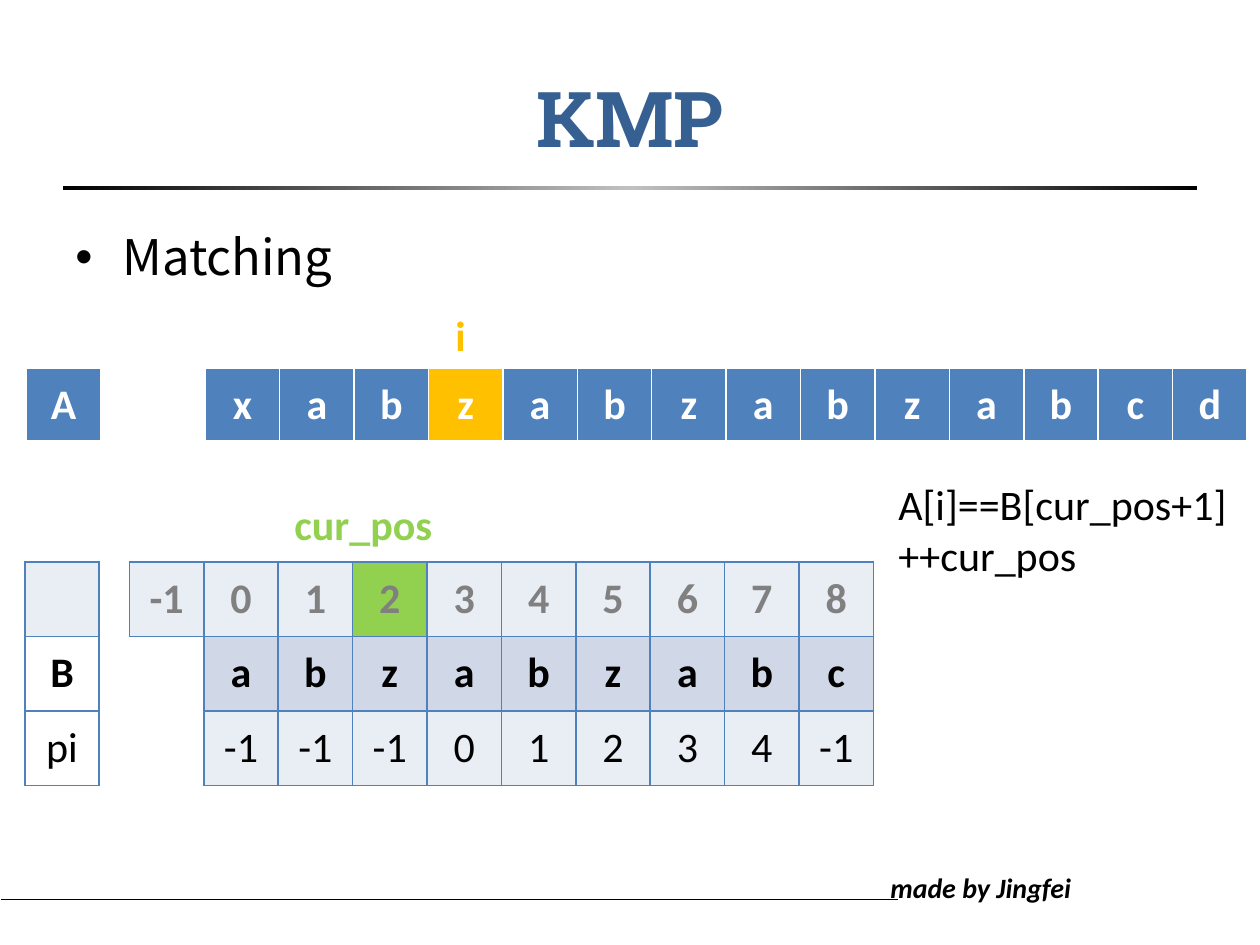
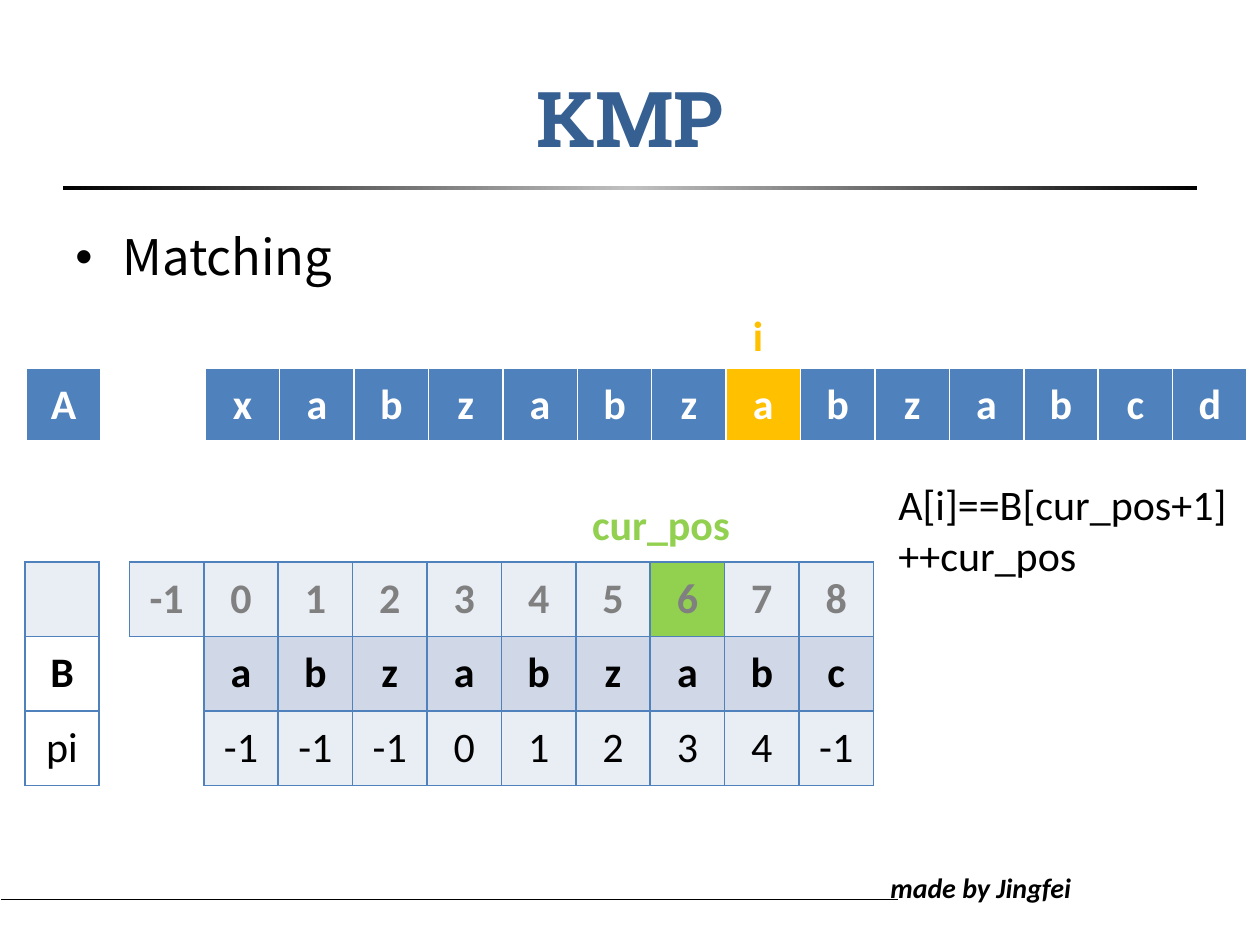
"""Build two slides that trace KMP matching of pattern B in text A."""
import dataclasses

import lxml.etree
import pptx
import pptx.dml.color
import pptx.enum.shapes
import pptx.enum.text
import pptx.oxml.ns
import pptx.util

Cm, Pt = pptx.util.Cm, pptx.util.Pt
ALIGN = pptx.enum.text.PP_ALIGN
MIDDLE = pptx.enum.text.MSO_ANCHOR.MIDDLE
qn = pptx.oxml.ns.qn


@dataclasses.dataclass(frozen=True)
class Style:
    size: int
    color: str
    bold: bool = False
    italic: bool = False
    font: str = "Calibri"


class Theme:
    black, silver, white = "000000", "C0C0C0", "FFFFFF"
    blue, pale, tint = "4F81BD", "E9EDF4", "D0D8E8"
    orange, green = "FFC000", "92D050"
    title = Style(44, "376092", bold=True, font="Roboto Slab")
    bullet = Style(28, black, font="Noto Sans CJK SC")
    credit = Style(16, black, bold=True, italic=True)
    code = Style(24, black)
    letter = Style(24, black, bold=True)
    header = Style(24, white, bold=True)
    index = Style(24, "808080", bold=True)
    text_pointer = Style(24, orange, bold=True)
    pattern_pointer = Style(24, green, bold=True)


TITLE = "KMP"
BULLET = "Matching"
CREDIT = "made by Jingfei"
CODE = ["A[i]==B[cur_pos+1]", "++cur_pos"]
STEPS = [{"i": 3, "cur_pos": 2}, {"i": 7, "cur_pos": 6}]

TEXT_ROWS = [
    {"cells": ["A", None, None, *"xabzabzabzabcd"], "style": Theme.header,
     "label_fill": Theme.blue, "fill": Theme.blue},
]
PATTERN_ROWS = [
    {"cells": ["", None, "-1", *"012345678"], "style": Theme.index,
     "label_fill": Theme.pale, "fill": Theme.pale},
    {"cells": ["B", None, None, *"abzabzabc"], "style": Theme.letter,
     "label_fill": None, "fill": Theme.tint},
    {"cells": ["pi", None, None, "-1", "-1", "-1", *"01234", "-1"], "style": Theme.code,
     "label_fill": None, "fill": Theme.pale},
]
TEXT_GRID = {"rows": TEXT_ROWS, "left": 0.53, "top": 7.42, "line": Theme.white,
             "bottom": 3, "mark": Theme.orange}
PATTERN_GRID = {"rows": PATTERN_ROWS, "left": 0.5, "top": 11.33, "line": Theme.blue,
                "bottom": 1, "mark": Theme.green}
POINTERS = [
    {"name": "i", "grid": TEXT_GRID, "top": 6.12, "width": 0.74, "shift": -0.08,
     "style": Theme.text_pointer},
    {"name": "cur_pos", "grid": PATTERN_GRID, "top": 9.93, "width": 3.63, "shift": -0.35,
     "style": Theme.pattern_pointer},
]
CELL, GAP = 1.5, 0.6
FIRST_COLUMN = 3
EDGES = {"L": (0, -1), "R": (0, 1), "T": (-1, 0), "B": (1, 0)}


def rgb(color):
    return pptx.dml.color.RGBColor.from_string(color)


def write(frame, lines, style, align=ALIGN.LEFT):
    for number, line in enumerate(lines):
        para = frame.paragraphs[0] if number == 0 else frame.add_paragraph()
        para.alignment = align
        span = para.add_run()
        span.text = line
        font = span.font
        font.name, font.size = style.font, Pt(style.size)
        font.bold, font.italic = style.bold, style.italic
        font.color.rgb = rgb(style.color)


def add_text(page, place, lines, style):
    box = page.shapes.add_textbox(*map(Cm, place))
    box.text_frame.word_wrap = True
    write(box.text_frame, lines, style)
    return box


def add_title(page):
    title = page.shapes.title
    title.left, title.top, title.width, title.height = map(Cm, (1.27, 0.76, 22.86, 3.18))
    title.text_frame.vertical_anchor = MIDDLE
    write(title.text_frame, [TITLE], Theme.title, ALIGN.CENTER)


def add_band(page):
    shape = page.shapes.add_shape(pptx.enum.shapes.MSO_SHAPE.RECTANGLE,
                                  *map(Cm, (1.27, 3.76, 22.86, 0.08)))
    shape.shadow.inherit = False
    shape.line.fill.background()
    shape.fill.gradient()
    shape.fill.gradient_angle = 0
    stops = next(shape._element.iter(qn("a:gsLst")))
    for stop in list(stops):
        stops.remove(stop)
    for percent, color in ((0, Theme.black), (50, Theme.silver), (100, Theme.black)):
        stop = lxml.etree.SubElement(stops, qn("a:gs"), pos=str(percent * 1000))
        lxml.etree.SubElement(stop, qn("a:srgbClr"), val=color)


def add_footer(page):
    rule = page.shapes.add_connector(pptx.enum.shapes.MSO_CONNECTOR.STRAIGHT,
                                     *map(Cm, (0.03, 18.14, 18.1, 18.14)))
    rule.line.color.rgb = rgb(Theme.black)
    rule.line.width = Pt(0.5)
    lxml.etree.SubElement(rule._element.spPr, qn("a:effectLst"))
    add_text(page, (17.7, 17.42, 4.24, 0.94), [CREDIT], Theme.credit)


def add_bullet(page):
    box = add_text(page, (1.27, 4.45, 24.13, 13.87), [BULLET], Theme.bullet)
    props = box.text_frame.paragraphs[0]._p.get_or_add_pPr()
    props.set("marL", str(Cm(0.95)))
    props.set("indent", str(-Cm(0.95)))
    lxml.etree.SubElement(props, qn("a:buFont"), typeface="Arial")
    lxml.etree.SubElement(props, qn("a:buChar"), char="•")


def is_filled(rows, row, column):
    return (0 <= row < len(rows) and 0 <= column < len(rows[row]["cells"])
            and rows[row]["cells"][column] is not None)


def add_borders(cell, grid, row, column):
    props = cell._tc.get_or_add_tcPr()
    for side, (down, across) in EDGES.items():
        points = grid["bottom"] if side == "B" else 1
        line = lxml.etree.SubElement(props, qn(f"a:ln{side}"), w=str(Pt(points)))
        neighbours = ((row, column), (row + down, column + across))
        if any(is_filled(grid["rows"], *place) for place in neighbours):
            fill = lxml.etree.SubElement(line, qn("a:solidFill"))
            lxml.etree.SubElement(fill, qn("a:srgbClr"), val=grid["line"])
        else:
            lxml.etree.SubElement(line, qn("a:noFill"))


def add_grid(page, grid, marked):
    rows = grid["rows"]
    widths = [GAP if column == 1 else CELL for column in range(len(rows[0]["cells"]))]
    place = (grid["left"], grid["top"], sum(widths), CELL * len(rows))
    table = page.shapes.add_table(len(rows), len(widths), *map(Cm, place)).table
    table.first_row = table.horz_banding = False
    for column, width in enumerate(widths):
        table.columns[column].width = Cm(width)
    for number, row in enumerate(rows):
        table.rows[number].height = Cm(CELL)
        for column, text in enumerate(row["cells"]):
            cell = table.cell(number, column)
            cell.vertical_anchor = MIDDLE
            add_borders(cell, grid, number, column)
            color = row["label_fill"] if column == 0 else row["fill"]
            if (number, column) == (0, marked + FIRST_COLUMN):
                color = grid["mark"]
            if text is None or color is None:
                cell.fill.background()
            else:
                cell.fill.solid()
                cell.fill.fore_color.rgb = rgb(color)
            if text:
                style = row["style"]
                write(cell.text_frame, [text], style, ALIGN.CENTER)


def add_pointer(page, pointer, position):
    center = pointer["grid"]["left"] + GAP + CELL * (position + FIRST_COLUMN - 0.5)
    left = center + pointer["shift"] - pointer["width"] / 2
    add_text(page, (left, pointer["top"], pointer["width"], 1.27),
             [pointer["name"]], pointer["style"])


def main():
    deck = pptx.Presentation()
    deck.slide_width, deck.slide_height = Cm(25.4), Cm(19.05)
    for step in STEPS:
        page = deck.slides.add_slide(deck.slide_layouts.get_by_name("Title Only"))
        add_footer(page)
        add_band(page)
        add_title(page)
        add_bullet(page)
        for pointer in POINTERS:
            position = step[pointer["name"]]
            add_grid(page, pointer["grid"], position)
            add_pointer(page, pointer, position)
        add_text(page, (17.86, 9.53, 7.54, 2.31), CODE, Theme.code)
    deck.save("out.pptx")


if __name__ == "__main__":
    main()
